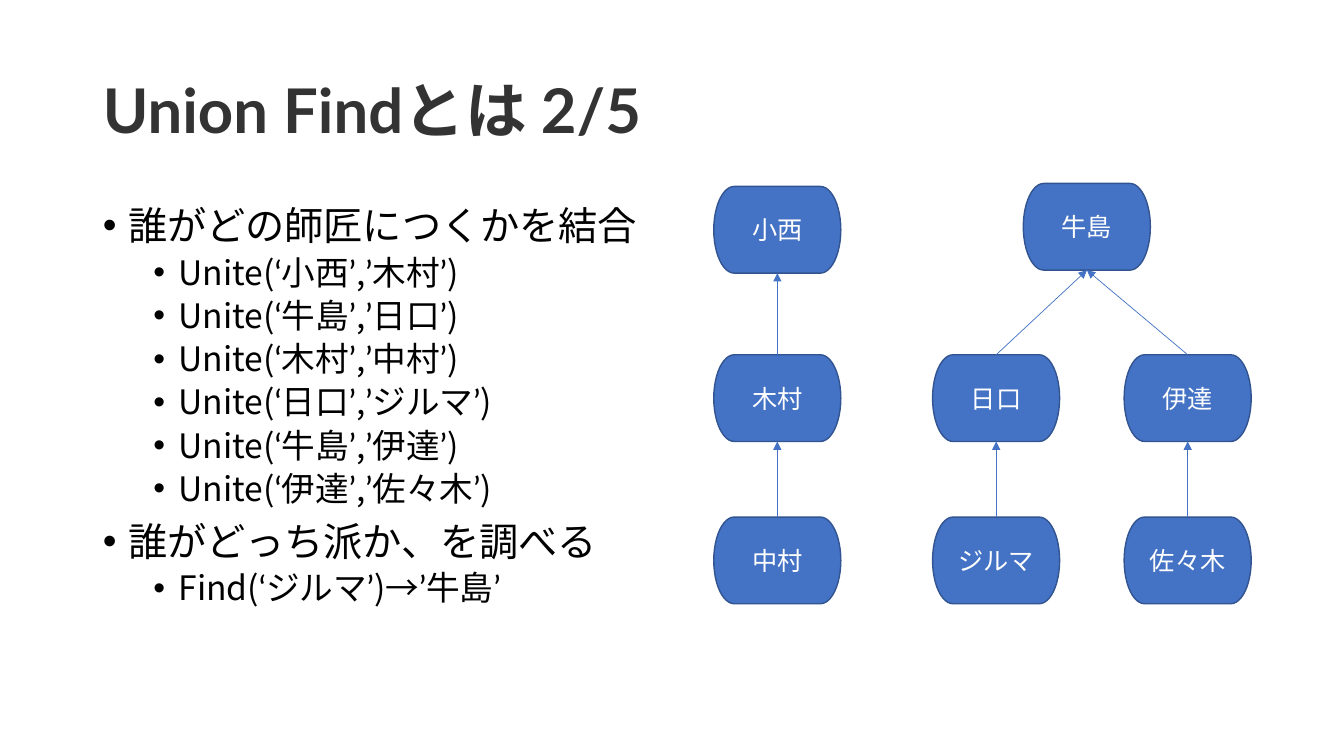
from typing import NamedTuple

from lxml.etree import SubElement
from pptx import Presentation
from pptx.dml.color import RGBColor
from pptx.enum.lang import MSO_LANGUAGE_ID
from pptx.enum.shapes import MSO_CONNECTOR, MSO_SHAPE
from pptx.enum.text import MSO_ANCHOR, MSO_AUTO_SIZE, PP_ALIGN
from pptx.oxml.ns import qn
from pptx.shapes.autoshape import Shape
from pptx.slide import Slide
from pptx.text.text import TextFrame, _Paragraph
from pptx.util import Inches, Pt

BLACK = RGBColor(0x00, 0x00, 0x00)
WHITE = RGBColor(0xFF, 0xFF, 0xFF)
CHARCOAL = RGBColor(0x33, 0x33, 0x33)
BLUE = RGBColor(0x44, 0x72, 0xC4)
NAVY = RGBColor(0x32, 0x54, 0x91)

JAPANESE_FONT = "Noto Sans CJK JP"
LATIN_FONT = "Lato"

NODE_WIDTH, NODE_HEIGHT = 1.26, 0.86
MIDDLE_ROW, BOTTOM_ROW = 3.52, 5.13
TOP_SITE, BOTTOM_SITE = 0, 2


class Member(NamedTuple):
    name: str
    left: float
    top: float
    master: str = ""


class Point(NamedTuple):
    text: str
    level: int = 0


MEMBERS = [
    Member("小西", 7.08, 1.85),
    Member("牛島", 10.15, 1.82),
    Member("木村", 7.08, MIDDLE_ROW, "小西"),
    Member("日口", 9.25, MIDDLE_ROW, "牛島"),
    Member("伊達", 11.15, MIDDLE_ROW, "牛島"),
    Member("中村", 7.08, BOTTOM_ROW, "木村"),
    Member("ジルマ", 9.25, BOTTOM_ROW, "日口"),
    Member("佐々木", 11.15, BOTTOM_ROW, "伊達"),
]

POINTS = [
    Point("誰がどの師匠につくかを結合"),
    Point("Unite(‘小西’,’木村’)", 1),
    Point("Unite(‘牛島’,’日口’)", 1),
    Point("Unite(‘木村’,’中村’)", 1),
    Point("Unite(‘日口’,’ジルマ’)", 1),
    Point("Unite(‘牛島’,’伊達’)", 1),
    Point("Unite(‘伊達’,’佐々木’)", 1),
    Point("誰がどっち派か、を調べる"),
    Point("Find(‘ジルマ’)→’牛島’", 1),
]


def write(paragraph: _Paragraph, text: str, *, size: int, color: RGBColor,
          font: str = JAPANESE_FONT, asian_font: str = JAPANESE_FONT,
          bold: bool = False, align: PP_ALIGN = PP_ALIGN.LEFT,
          line_spacing: float = 1.0, space_before: int = 0) -> None:
    paragraph.alignment = align
    paragraph.line_spacing = line_spacing
    paragraph.space_before = Pt(space_before)
    run = paragraph.add_run()
    run.text = text
    run.font.size = Pt(size)
    run.font.bold = bold
    run.font.color.rgb = color
    run.font.name = font
    run.font.language_id = MSO_LANGUAGE_ID.JAPANESE
    SubElement(run._r.get_or_add_rPr(), qn("a:ea"), typeface=asian_font)


def add_bullet(paragraph: _Paragraph, level: int) -> None:
    paragraph.level = level
    properties = paragraph._p.get_or_add_pPr()
    properties.set("marL", str(Inches(0.25 + 0.5 * level)))
    properties.set("indent", str(Inches(-0.25)))
    SubElement(properties, qn("a:buFont"), typeface="Arial")
    SubElement(properties, qn("a:buChar"), char="•")


def place(holder: Shape, left: float, top: float, width: float, height: float,
          anchor: MSO_ANCHOR) -> TextFrame:
    holder.left, holder.top = Inches(left), Inches(top)
    holder.width, holder.height = Inches(width), Inches(height)
    frame = holder.text_frame
    frame.auto_size = MSO_AUTO_SIZE.NONE
    frame.word_wrap = True
    frame.vertical_anchor = anchor
    return frame


def add_node(slide: Slide, member: Member) -> Shape:
    node = slide.shapes.add_shape(
        MSO_SHAPE.FLOWCHART_TERMINATOR, Inches(member.left), Inches(member.top),
        Inches(NODE_WIDTH), Inches(NODE_HEIGHT))
    node.shadow.inherit = False
    node.fill.solid()
    node.fill.fore_color.rgb = BLUE
    node.line.color.rgb = NAVY
    node.line.width = Pt(1)
    node.text_frame.vertical_anchor = MSO_ANCHOR.MIDDLE
    write(node.text_frame.paragraphs[0], member.name, size=18, color=WHITE,
          align=PP_ALIGN.CENTER)
    return node


def add_arrow(slide: Slide, pupil: Shape, master: Shape) -> None:
    arrow = slide.shapes.add_connector(MSO_CONNECTOR.STRAIGHT, 0, 0, 0, 0)
    arrow.begin_connect(pupil, TOP_SITE)
    arrow.end_connect(master, BOTTOM_SITE)
    arrow.line.color.rgb = BLUE
    arrow.line.width = Pt(0.5)
    SubElement(arrow.line._get_or_add_ln(), qn("a:tailEnd"), type="triangle")
    SubElement(arrow._element.spPr, qn("a:effectLst"))


def main() -> None:
    deck = Presentation()
    deck.slide_width, deck.slide_height = Inches(13.33), Inches(7.5)
    slide = deck.slides.add_slide(deck.slide_layouts[1])

    heading = place(slide.shapes.title, 0.92, 0.4, 11.5, 1.45, MSO_ANCHOR.MIDDLE)
    write(heading.paragraphs[0], "Union Findとは 2/5", size=44, color=CHARCOAL,
          font=LATIN_FONT, bold=True, line_spacing=0.9)

    steps = place(slide.placeholders[1], 0.92, 2, 5.67, 4.76, MSO_ANCHOR.TOP)
    for index, point in enumerate(POINTS):
        paragraph = steps.add_paragraph() if index else steps.paragraphs[0]
        write(paragraph, point.text, color=BLACK, line_spacing=0.9,
              size=24 if point.level else 28,
              asian_font=LATIN_FONT if point.level else JAPANESE_FONT,
              space_before=5 if point.level else 10)
        add_bullet(paragraph, point.level)

    nodes = {member.name: add_node(slide, member) for member in MEMBERS}
    for member in MEMBERS:
        if member.master:
            add_arrow(slide, nodes[member.name], nodes[member.master])

    deck.save("out.pptx")


if __name__ == "__main__":
    main()
